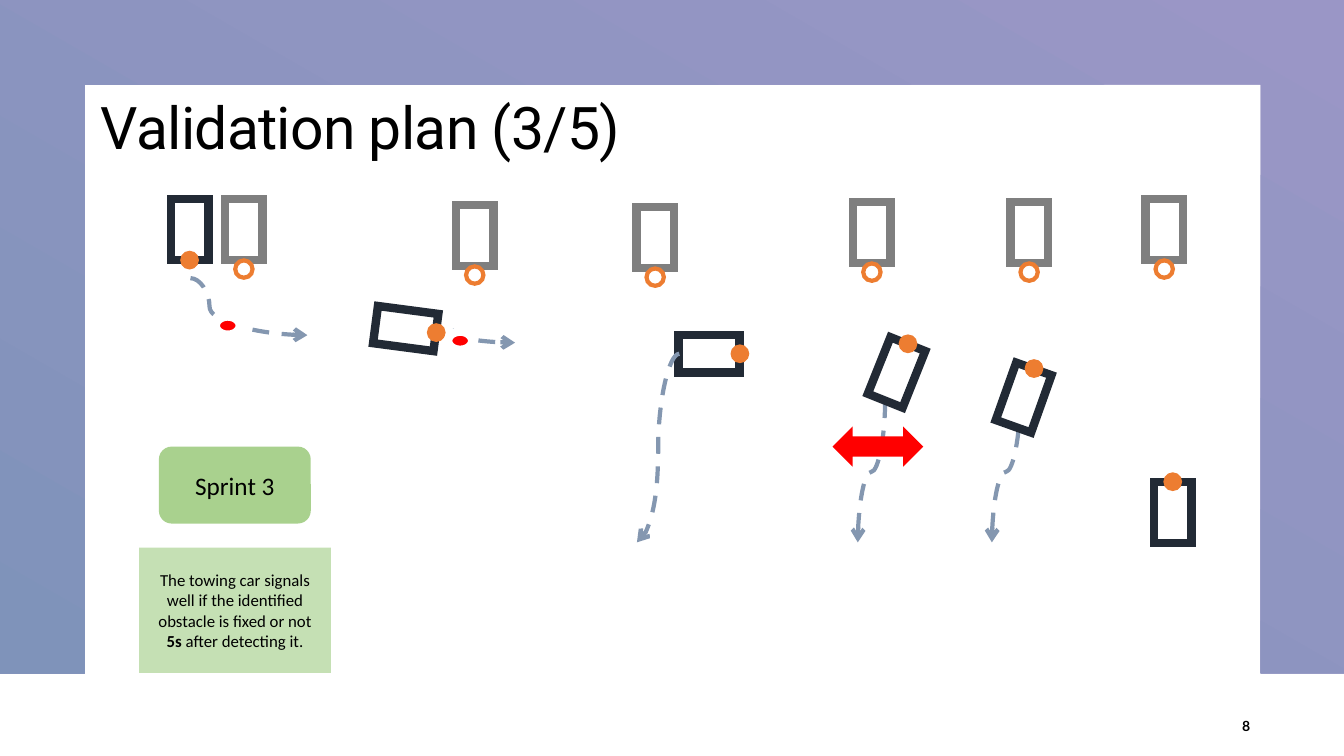
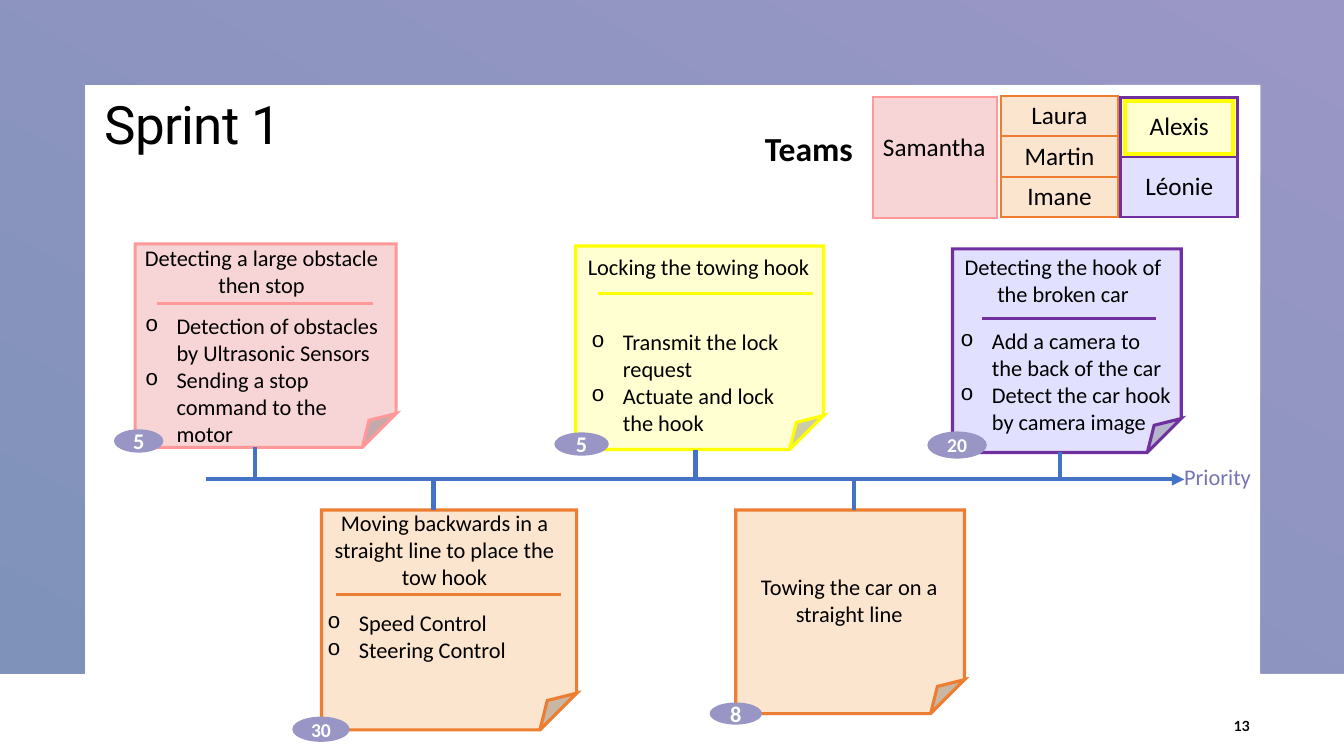
"""Build two project slides: a car-towing validation plan and a sprint timeline."""
import math

import lxml.etree
import pptx
import pptx.dml.color
import pptx.enum.dml
import pptx.enum.shapes
import pptx.enum.text
import pptx.oxml.ns
import pptx.util

Pt = pptx.util.Pt
qn = pptx.oxml.ns.qn
SHAPE = pptx.enum.shapes.MSO_SHAPE
CONNECTOR = pptx.enum.shapes.MSO_CONNECTOR
ALIGN = pptx.enum.text.PP_ALIGN
ANCHOR = pptx.enum.text.MSO_ANCHOR

COLORS = {
    "black": "000000", "white": "FFFFFF", "frame_start": "9A96C6", "frame_end": "7F93BA",
    "towing": "222A35", "broken": "7F7F7F", "hook": "ED7D31", "path": "8497B0",
    "red": "FF0000", "sprint": "A9D18E", "criterion": "C5E0B4",
    "axis": "4472C4", "badge": "9996C6", "priority": "7675B3",
    "pink": "F7D5D6", "pink_line": "FF9999", "orange": "FCE5CE", "orange_line": "ED7D31",
    "violet": "E1E1FF", "violet_line": "7030A0", "yellow": "FFFFD1", "yellow_line": "FFFF00",
}

FRAME = [(0, 0), (960, 0), (960, 481), (900.5, 481), (900.5, 60.5), (60.5, 60.5), (60.5, 481), (0, 481)]
NUMBER_BOX = (858.2, 504, 41.8, 28.8)

BROKEN_CARS = [(174.2, 163.8), (339.1, 168.1), (468, 169.6), (622.8, 166), (735.1, 166), (831.6, 163.8)]
TOWING_CARS = [
    (135.4, 163.8, 90), (289.8, 234.7, 7.5), (506.5, 252.7, 0),
    (640.4, 266, 291.8), (731.2, 284, 289.6), (837.7, 366.1, 270),
]
PATHS_UNDER_CARS = [
    ((281.5, 230.4), (367.9, 244.8), False, 50000),
    ((136.1, 198.7), (219.6, 239.4), False, 16300),
    ((632.2, 286.6), (612.7, 387.4), True, 50000),
    ((728.6, 286.6), (708.5, 387.4), True, 50000),
]
PATH_OVER_CAR = ((485.3, 252.7), (455, 387.4), False, 50000)
OBSTACLES = [(162.7, 232.6), (328.7, 243.4)]
CRITERION = [
    ("The towing car signals well if the identified obstacle is fixed or not ", False),
    ("5s ", True), ("after detecting it.", False),
]

AXIS_Y = 342.4
CARDS = [
    {"color": "pink", "box": (96.5, 174.2, 186.5, 145.4), "title": "Detecting a large obstacle then stop",
     "title_box": (91.4, 170.6, 190.8, 46), "rule": (112.3, 266.4, 216.7), "stem": 182.2,
     "items": ["Detection of obstacles by Ultrasonic Sensors", "Sending a stop command to the motor"],
     "list_box": (96.5, 219.6, 187.9, 121), "badge": ("5", 16, (81.4, 306.7, 35.3, 16.6))},
    {"color": "orange", "box": (229.7, 364.3, 182.2, 157),
     "title": "Moving backwards in a straight line to place the tow hook",
     "title_box": (223.9, 360, 187.2, 65.5), "rule": (239.8, 401, 424.8), "stem": 309.6,
     "items": ["Speed Control", "Steering Control"],
     "list_box": (226.8, 431.3, 184.3, 46), "badge": ("30", 14, (208.8, 511.9, 41, 18))},
    {"color": "yellow", "box": (411.1, 175.7, 177.1, 145.4), "title": "Locking the towing hook",
     "title_box": (411.1, 177.1, 175.7, 26.6), "rule": (427, 581, 209.5), "stem": 496.8,
     "items": ["Transmit the lock request", "Actuate and lock the hook"],
     "list_box": (415.4, 231.1, 165.6, 101.5), "badge": ("5", 16, (396, 308.9, 38.9, 16.6))},
    {"color": "orange", "box": (525.6, 364.3, 163.4, 145.4), "title": "Towing the car on a straight line",
     "title_box": (522.7, 406.1, 167.8, 46), "stem": 609.8, "badge": ("8", 16, (506.9, 501.8, 37.4, 15.8))},
    {"color": "violet", "box": (680.4, 177.8, 163.4, 145.4), "title": "Detecting the hook of the broken car",
     "title_box": (675.4, 177.1, 167.8, 46), "rule": (701.3, 825.8, 227.5), "stem": 757.4,
     "items": ["Add a camera to the back of the car", "Detect the car hook by camera image"],
     "list_box": (679, 230.4, 165.6, 85), "badge": ("20", 14, (662.4, 308.2, 42.5, 19.4))},
]
TEAMS = [
    {"box": (623.5, 69.1, 88.6, 86.4), "border": "pink_line", "width": 1.5, "inner": 1.5,
     "members": [("Samantha", "pink")]},
    {"box": (715, 68.6, 83.5, 86.4), "border": "orange_line", "width": 1.5, "inner": 1.5,
     "members": [("Laura", "orange"), ("Martin", "orange"), ("Imane", "orange")]},
    {"box": (800.6, 69.4, 83.5, 85.6), "border": "violet_line", "width": 2.25, "inner": 1,
     "members": [("Alexis", "yellow"), ("Léonie", "violet")]},
]


def rgb(name):
    return pptx.dml.color.RGBColor.from_string(COLORS[name])


def points(values):
    return [Pt(value) for value in values]


def write(paragraph, text, size, color="black", bold=False, font="Calibri"):
    run = paragraph.add_run()
    run.text = text
    run.font.size, run.font.name, run.font.bold = Pt(size), font, bold
    run.font.color.rgb = rgb(color)
    return run


def add_shape(slide, kind, box, fill=None, line=None, width=1, rotation=0):
    shape = slide.shapes.add_shape(kind, *points(box))
    shape.shadow.inherit = False
    shape.rotation = rotation
    if fill:
        shape.fill.solid()
        shape.fill.fore_color.rgb = rgb(fill)
    else:
        shape.fill.background()
    if line:
        shape.line.color.rgb = rgb(line)
        shape.line.width = Pt(width)
        outline = shape.element.spPr.find(qn("a:ln"))
        lxml.etree.SubElement(outline, qn("a:miter")).set("lim", "800000")
    else:
        shape.line.fill.background()
    return shape


def add_line(slide, start, end, color, width, arrow=None, kind=CONNECTOR.STRAIGHT, dash=None):
    connector = slide.shapes.add_connector(kind, *points((*start, *end)))
    connector.line.color.rgb = rgb(color)
    connector.line.width = Pt(width)
    if dash:
        connector.line.dash_style = dash
    properties = connector.element.spPr
    if arrow:
        lxml.etree.SubElement(properties.find(qn("a:ln")), qn("a:tailEnd")).set("type", arrow)
    lxml.etree.SubElement(properties, qn("a:effectLst"))
    return connector


def add_text(slide, box, text, size, align=ALIGN.LEFT, **style):
    frame = slide.shapes.add_textbox(*points(box)).text_frame
    frame.word_wrap = True
    frame.paragraphs[0].alignment = align
    write(frame.paragraphs[0], text, size, **style)
    return frame


def add_list(slide, box, items):
    frame = slide.shapes.add_textbox(*points(box)).text_frame
    frame.word_wrap = True
    for index, item in enumerate(items):
        paragraph = frame.add_paragraph() if index else frame.paragraphs[0]
        write(paragraph, item, 16)
        properties = paragraph._p.get_or_add_pPr()
        properties.set("marL", str(Pt(22.5)))
        properties.set("indent", str(-Pt(22.5)))
        lxml.etree.SubElement(properties, qn("a:buFont")).set("typeface", "Courier New")
        lxml.etree.SubElement(properties, qn("a:buChar")).set("char", "o")


def add_frame(slide, layout):
    corners = [tuple(points(corner)) for corner in FRAME]
    builder = slide.shapes.build_freeform(*corners[0])
    builder.add_line_segments(corners[1:], close=True)
    frame = builder.convert_to_shape()
    frame.shadow.inherit = False
    frame.line.fill.background()
    frame.fill.gradient()
    frame.fill.gradient_angle = 240
    for stop, color in zip(frame.fill.gradient_stops, ("frame_start", "frame_end")):
        stop.color.rgb = rgb(color)
    layout.shapes.element.insert(2, frame.element)


def add_slide(presentation, layout, title, size, box, number):
    slide = presentation.slides.add_slide(layout)
    shape = slide.shapes.title
    shape.left, shape.top, shape.width, shape.height = points(box)
    frame = shape.text_frame
    frame.auto_size = pptx.enum.text.MSO_AUTO_SIZE.NONE
    frame.vertical_anchor = ANCHOR.TOP
    paragraph = frame.paragraphs[0]
    paragraph.alignment = ALIGN.LEFT
    paragraph.line_spacing = 0.95
    run = write(paragraph, title, size, font="Roboto")
    run.font._element.set("spc", "-50")
    number_frame = add_text(slide, NUMBER_BOX, number, 10, ALIGN.RIGHT, bold=True, font="Lato")
    number_frame.vertical_anchor = ANCHOR.MIDDLE
    return slide


def add_car(slide, x, y, angle, body, reach, hook_fill, hook_width):
    length, width, hook = 43.5, 26.8, 12.4
    fill = "white" if body == "towing" else None
    add_shape(slide, SHAPE.RECTANGLE, (x - length / 2, y - width / 2, length, width), fill, body, 6, angle)
    hook_x = x + reach * math.cos(math.radians(angle))
    hook_y = y + reach * math.sin(math.radians(angle))
    add_shape(slide, SHAPE.OVAL, (hook_x - hook / 2, hook_y - hook / 2, hook, hook), hook_fill, "hook", hook_width)


def add_path(slide, start, end, vertical, bend):
    if vertical:
        middle_x, middle_y = (start[0] + end[0]) / 2, (start[1] + end[1]) / 2
        half_length, half_width = (end[1] - start[1]) / 2, (start[0] - end[0]) / 2
        start = (middle_x - half_length, middle_y - half_width)
        end = (middle_x + half_length, middle_y + half_width)
    connector = add_line(slide, start, end, "path", 3, "arrow", CONNECTOR.CURVE,
                         pptx.enum.dml.MSO_LINE.DASH)
    properties = connector.element.spPr
    if vertical:
        properties.find(qn("a:xfrm")).set("rot", "5400000")
    guide = lxml.etree.SubElement(properties.find(qn("a:prstGeom")).find(qn("a:avLst")), qn("a:gd"))
    guide.set("name", "adj1")
    guide.set("fmla", f"val {bend}")


def add_card(slide, card):
    left, top, width, height = card["box"]
    border = card["color"] + "_line"
    add_shape(slide, SHAPE.FOLDED_CORNER, card["box"], card["color"], border, 2.25)
    add_text(slide, card["title_box"], card["title"], 16, ALIGN.CENTER)
    if "items" in card:
        rule_start, rule_end, rule_y = card["rule"]
        add_line(slide, (rule_start, rule_y), (rule_end, rule_y), border, 2.25)
        add_list(slide, card["list_box"], card["items"])
    edge = top + height if top < AXIS_Y else top
    add_line(slide, (card["stem"], min(edge, AXIS_Y)), (card["stem"], max(edge, AXIS_Y)), "axis", 3)
    text, size, box = card["badge"]
    frame = add_shape(slide, SHAPE.OVAL, box, "badge").text_frame
    frame.margin_left = frame.margin_right = frame.margin_top = frame.margin_bottom = 0
    frame.word_wrap = False
    frame.vertical_anchor = ANCHOR.MIDDLE
    frame.paragraphs[0].alignment = ALIGN.CENTER
    write(frame.paragraphs[0], text, size, "white", True)


def set_border(cell, index, side, color, width):
    line = lxml.etree.Element(qn("a:ln" + side))
    line.set("w", str(Pt(width)))
    fill = lxml.etree.SubElement(line, qn("a:solidFill"))
    lxml.etree.SubElement(fill, qn("a:srgbClr")).set("val", COLORS[color])
    cell._tc.get_or_add_tcPr().insert(index, line)


def add_team(slide, team):
    members = team["members"]
    last = len(members) - 1
    table = slide.shapes.add_table(len(members), 1, *points(team["box"])).table
    table.first_row = table.horz_banding = False
    for row, (name, color) in enumerate(members):
        table.rows[row].height = Pt(team["box"][3] / len(members))
        cell = table.cell(row, 0)
        cell.fill.solid()
        cell.fill.fore_color.rgb = rgb(color)
        cell.margin_top = cell.margin_bottom = 0
        paragraph = cell.text_frame.paragraphs[0]
        if last:
            cell.vertical_anchor = ANCHOR.MIDDLE
            paragraph.alignment = ALIGN.CENTER
        else:
            cell.margin_top = Pt(25.5)
        write(paragraph, name, 18)
        widths = {"L": team["width"], "R": team["width"],
                  "T": team["inner"] if row else team["width"],
                  "B": team["inner"] if row < last else team["width"]}
        for index, (side, width) in enumerate(widths.items()):
            set_border(cell, index, side, team["border"], width)


def build_validation(slide):
    for path in PATHS_UNDER_CARS:
        add_path(slide, *path)
    for x, y in BROKEN_CARS:
        add_car(slide, x, y, 90, "broken", 28.4, "white", 3)
    for x, y, angle in TOWING_CARS:
        add_car(slide, x, y, angle, "towing", 22, "hook", 1)
    add_path(slide, *PATH_OVER_CAR)
    for x, y in OBSTACLES:
        add_shape(slide, SHAPE.OVAL, (x - 8.6, y - 6.5, 17.2, 13), "red", "white", 6)
    add_shape(slide, SHAPE.LEFT_RIGHT_ARROW, (594.7, 304.6, 64.8, 28.8), "red")
    sprint = add_shape(slide, SHAPE.ROUNDED_RECTANGLE, (113.5, 319, 108.5, 55), "sprint")
    criterion = add_shape(slide, SHAPE.RECTANGLE, (99.4, 391.2, 137, 89.5), "criterion")
    for shape, size, runs in ((sprint, 18, [("Sprint 3", False)]), (criterion, 12, CRITERION)):
        shape.text_frame.word_wrap = True
        shape.text_frame.vertical_anchor = ANCHOR.MIDDLE
        paragraph = shape.text_frame.paragraphs[0]
        paragraph.alignment = ALIGN.CENTER
        for text, bold in runs:
            write(paragraph, text, size, bold=bold)


def build_sprint(slide):
    add_line(slide, (146.9, AXIS_Y), (846, AXIS_Y), "axis", 3, "triangle")
    add_text(slide, (838.8, 327.6, 96.5, 26.6), "Priority", 16, color="priority")
    for card in CARDS:
        add_card(slide, card)
    add_text(slide, (539.3, 87.8, 96.5, 36), "Teams", 24, bold=True)
    for team in TEAMS:
        add_team(slide, team)
    add_shape(slide, SHAPE.RECTANGLE, (803.5, 72, 77, 38.2), None, "yellow_line", 3)


def main():
    presentation = pptx.Presentation()
    presentation.slide_width, presentation.slide_height = Pt(960), Pt(540)
    layout = presentation.slide_layouts.get_by_name("Title Only")
    validation = add_slide(presentation, layout, "Validation plan (3/5)", 42, (64.8, 64.8, 720, 105.8), "8")
    sprint = add_slide(presentation, layout, "Sprint 1", 37.8, (67.7, 64.8, 154.8, 49), "13")
    add_frame(validation, layout)
    build_validation(validation)
    build_sprint(sprint)
    presentation.save("out.pptx")


if __name__ == "__main__":
    main()
